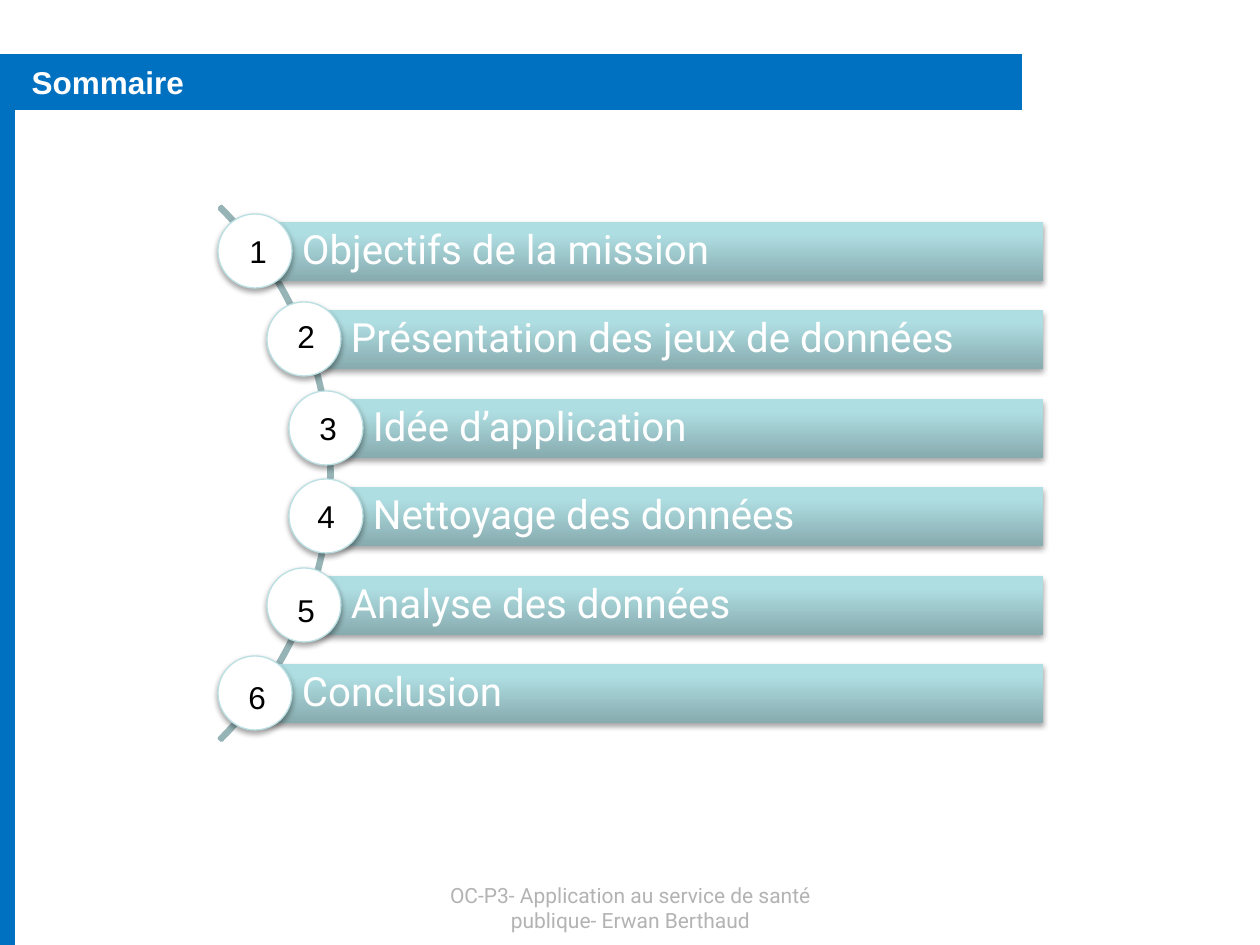
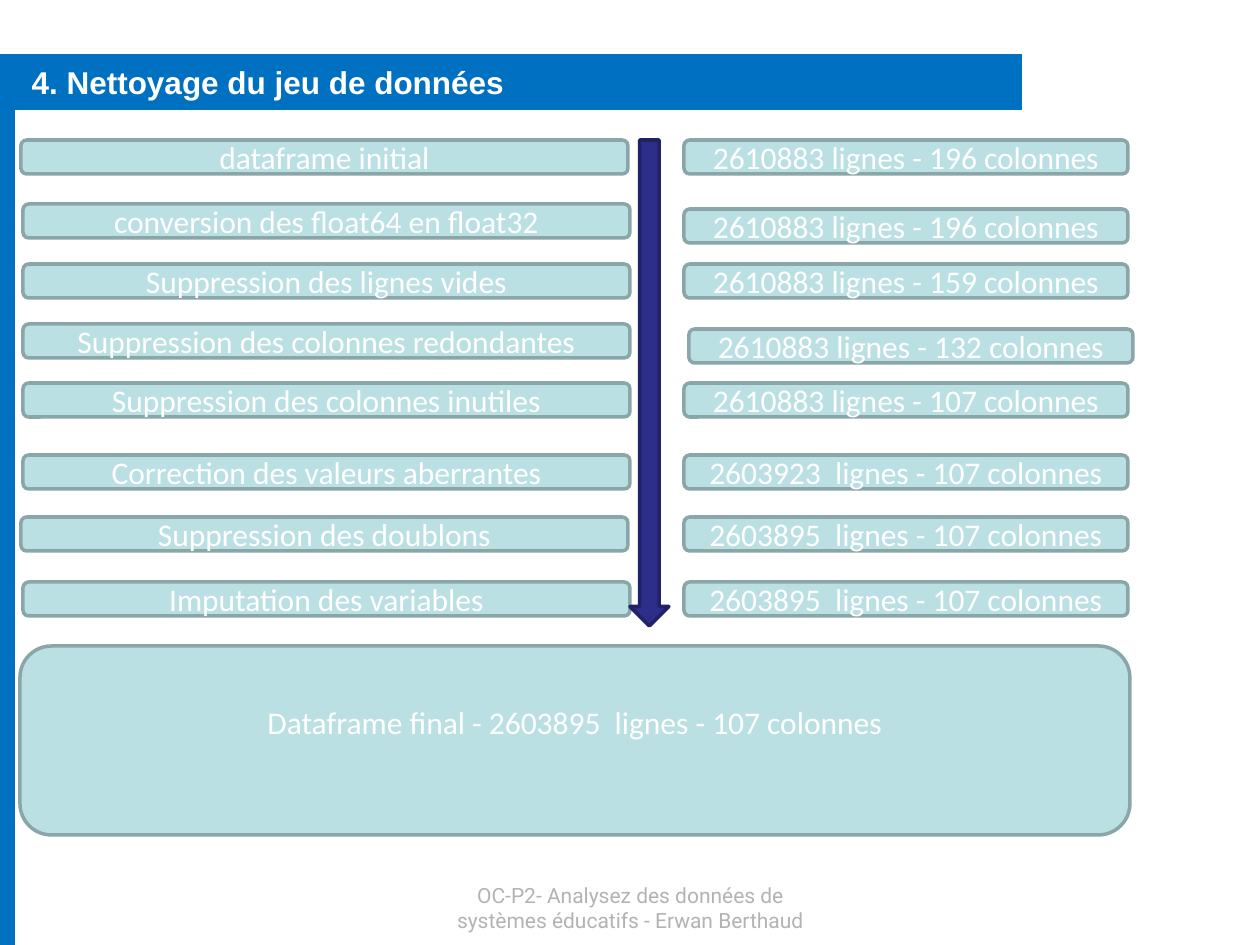
from copy import deepcopy

from lxml.etree import SubElement
from pptx import Presentation
from pptx.dml.color import RGBColor
from pptx.enum.shapes import MSO_SHAPE
from pptx.enum.text import MSO_ANCHOR, PP_ALIGN
from pptx.oxml.ns import qn
from pptx.util import Pt

SCALE = 914400 / 126  # EMU in one px
BLUE, WHITE, BLACK, GREY = "0070C0", "FFFFFF", "000000", "B3B3B3"
TEAL, TEAL_EDGE, ARC_EDGE = "BBE0E3", "8AA6A8", "96B3B6"
ARROW_FILL, ARROW_EDGE = "2D2D8A", "212166"
BAR_STOPS = [(0, "87ABAE"), (0.8, "AFDEE2"), (1, "AFE0E4")]

TITLE_FONT = {"name": "Arial", "size": Pt(18), "bold": True}
FOOTER_FONT = {"name": "Roboto", "size": Pt(12)}
BAR_FONT = {"name": "Roboto", "size": Pt(23)}
NUMBER_FONT = {"name": "Arial", "size": Pt(18)}
STEP_FONT = {"name": "Calibri", "size": Pt(18)}


def add_shape(slide, kind, box, fill=None, line=None, width=2, shadow=False):
    shape = slide.shapes.add_shape(kind, *[round(v * SCALE) for v in box])
    shape.shadow.inherit = False
    if fill:
        shape.fill.solid()
        shape.fill.fore_color.rgb = RGBColor.from_string(fill)
    else:
        shape.fill.background()
    if line:
        shape.line.color.rgb = RGBColor.from_string(line)
        shape.line.width = Pt(width)
    else:
        shape.line.fill.background()
    if shadow:
        effects = shape._element.spPr.find(qn("a:effectLst"))
        outer = SubElement(effects, qn("a:outerShdw"), blurRad="40000", dist="23000",
                           dir="5400000", rotWithShape="0")
        color = SubElement(outer, qn("a:srgbClr"), val=BLACK)
        SubElement(color, qn("a:alpha"), val="35000")
    return shape


def write(shape, text, font, color, align=PP_ALIGN.LEFT, anchor=MSO_ANCHOR.TOP,
          wrap=True, **margins):
    frame = shape.text_frame
    frame.text = text
    frame.word_wrap = wrap
    frame.vertical_anchor = anchor
    for side, length in margins.items():
        setattr(frame, f"margin_{side}", round(length * SCALE))
    paragraph = frame.paragraphs[0]
    paragraph.alignment = align
    for name, value in font.items():
        setattr(paragraph.runs[0].font, name, value)
    paragraph.runs[0].font.color.rgb = RGBColor.from_string(color)
    return paragraph


presentation = Presentation()
presentation.slide_width = round(1260 * SCALE)
presentation.slide_height = round(945 * SCALE)

# Shared frame: blue bands, title and footer
pages = [
    ("Sommaire", "OC-P3- Application au service de santé publique- Erwan Berthaud"),
    ("4. Nettoyage du jeu de données",
     "OC-P2- Analysez des données de systèmes éducatifs - Erwan Berthaud"),
]
slides = []
for title_text, footer_text in pages:
    slide = presentation.slides.add_slide(presentation.slide_layouts[5])
    for band in [(0, 54, 1022, 56), (0, 101, 15, 844)]:
        add_shape(slide, MSO_SHAPE.RECTANGLE, band, BLUE)
    title = slide.shapes.title
    title.left, title.top, title.width, title.height = [
        round(v * SCALE) for v in (19, 57, 1091, 89)]
    write(title, title_text, TITLE_FONT, WHITE)
    slide.shapes._spTree.append(title._element)  # in front of the bands
    footer = slide.shapes.add_textbox(*[round(v * SCALE) for v in (431, 876, 399, 50)])
    write(footer, footer_text, FOOTER_FONT, GREY, PP_ALIGN.CENTER)
    slides.append(slide)
summary, cleaning = slides

# Summary: arc behind the chapters
arc = add_shape(summary, MSO_SHAPE.BLOCK_ARC, (-423, 96, 755, 755), line=ARC_EDGE)
for index, value in enumerate([189, 27, 0.004]):
    arc.adjustments[index] = value

# Summary: chapter, centre of its disc, corner of its number
chapters = [
    ("Objectifs de la mission", 255, (237, 226)),
    ("Présentation des jeux de données", 304, (285, 311)),
    ("Idée d’application", 326, (307, 403)),
    ("Nettoyage des données", 326, (305, 491)),
    ("Analyse des données", 304, (285, 585)),
    ("Conclusion", 255, (236, 672)),
]
for index, (chapter, center, corner) in enumerate(chapters):
    top = round(222 + 88.4 * index)
    bar = add_shape(summary, MSO_SHAPE.RECTANGLE, (center, top, 1043 - center, 59),
                    shadow=True)
    bar.fill.gradient()
    bar.fill.gradient_angle = 90
    stop_list = bar._element.spPr.find(".//" + qn("a:gsLst"))
    stop_list.append(deepcopy(stop_list[-1]))
    for stop, (position, color) in zip(bar.fill.gradient_stops, BAR_STOPS):
        stop.position = position
        stop.color.rgb = RGBColor.from_string(color)
    paragraph = write(bar, chapter, BAR_FONT, WHITE, anchor=MSO_ANCHOR.MIDDLE,
                      left=47, top=8, right=8, bottom=8)
    paragraph.line_spacing = 0.9
    add_shape(summary, MSO_SHAPE.OVAL, (center - 37, top - 8, 74, 74), WHITE, TEAL,
              0.75, shadow=True)
    number = summary.shapes.add_textbox(*[round(v * SCALE) for v in (*corner, 43, 50)])
    write(number, str(index + 1), NUMBER_FONT, BLACK, wrap=False)

# Cleaning: step (left, top) and resulting size (left, top)
steps = [
    ("dataframe initial", 21, 140, "2610883 lignes - 196 colonnes", 684, 140),
    ("conversion des float64 en float32", 23, 204, "2610883 lignes - 196 colonnes", 684, 209),
    ("Suppression des lignes vides", 23, 264, "2610883 lignes - 159 colonnes", 684, 264),
    ("Suppression des colonnes redondantes", 23, 324, "2610883 lignes - 132 colonnes", 689, 329),
    ("Suppression des colonnes inutiles", 23, 383, "2610883 lignes - 107 colonnes", 684, 383),
    ("Correction des valeurs aberrantes", 23, 455, "2603923  lignes - 107 colonnes", 684, 455),
    ("Suppression des doublons", 21, 517, "2603895  lignes - 107 colonnes", 684, 517),
    ("Imputation des variables", 23, 582, "2603895  lignes - 107 colonnes", 684, 582),
]
for step, step_left, step_top, size, size_left, size_top in steps:
    for text, box in [(step, (step_left, step_top, 607, 34)),
                      (size, (size_left, size_top, 444, 34))]:
        shape = add_shape(cleaning, MSO_SHAPE.ROUNDED_RECTANGLE, box, TEAL, TEAL_EDGE)
        write(shape, text, STEP_FONT, WHITE, PP_ALIGN.CENTER, MSO_ANCHOR.MIDDLE)

# Cleaning: direction arrow and final result
add_shape(cleaning, MSO_SHAPE.DOWN_ARROW, (630, 140, 39, 486), ARROW_FILL, ARROW_EDGE)
result = add_shape(cleaning, MSO_SHAPE.ROUNDED_RECTANGLE, (20, 646, 1110, 189),
                   TEAL, TEAL_EDGE)
write(result, "Dataframe final - 2603895  lignes - 107 colonnes", STEP_FONT, WHITE,
      PP_ALIGN.CENTER, MSO_ANCHOR.MIDDLE, bottom=44)

presentation.save("out.pptx")
